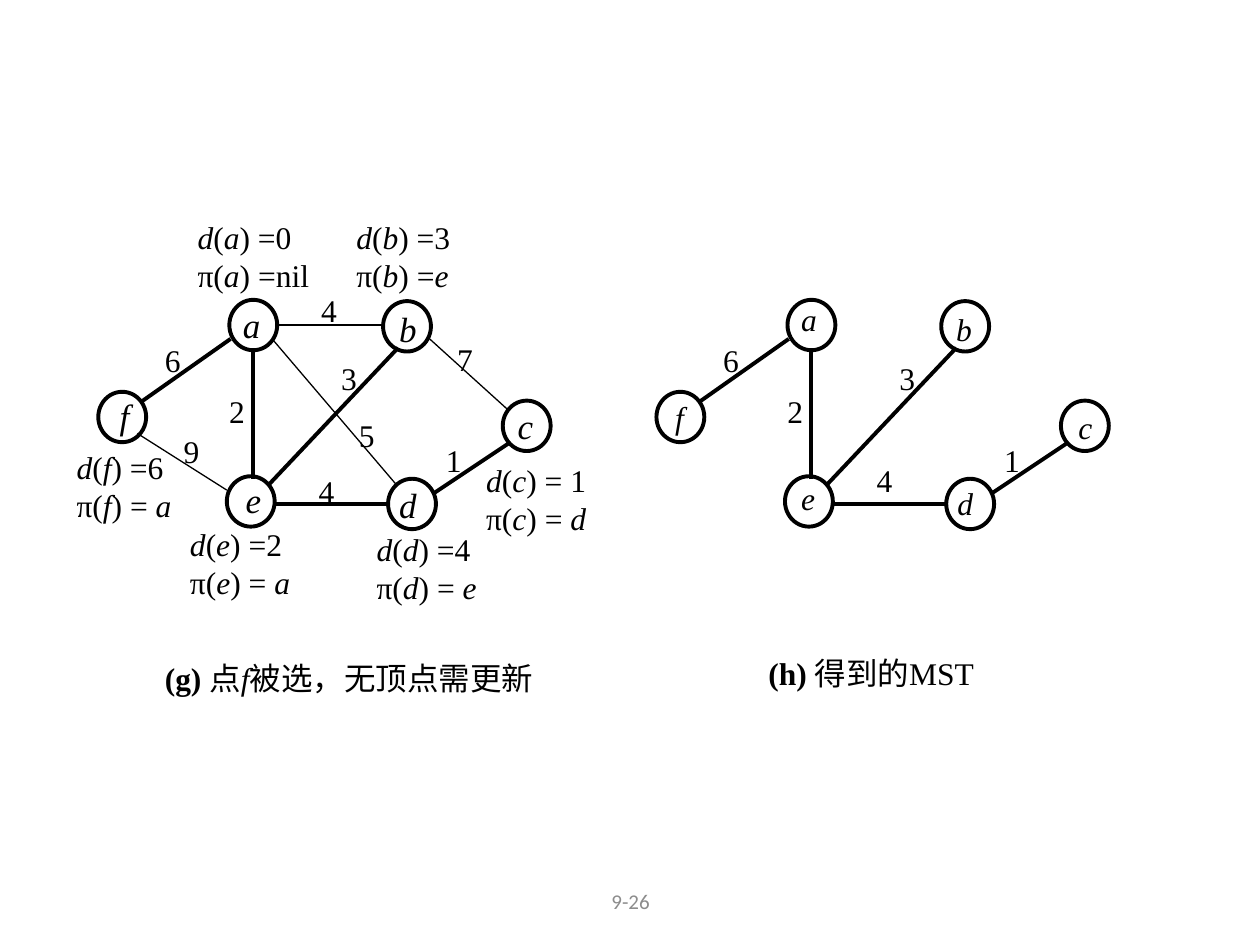
from dataclasses import dataclass

from lxml import etree
from pptx import Presentation
from pptx.dml.color import RGBColor
from pptx.enum import shapes, text
from pptx.oxml import ns
from pptx.util import Emu, Pt

PX = 9144


@dataclass(frozen=True)
class Theme:
    """Colours, fonts and sizes of the slide."""
    ink: RGBColor = RGBColor(0, 0, 0)
    paper: RGBColor = RGBColor(255, 255, 255)
    muted: RGBColor = RGBColor(0x8C, 0x8C, 0x8C)
    serif: str = "Times New Roman"
    sans: str = "Calibri"
    label: int = 18
    footer: int = 12
    thin: float = 0.75
    thick: float = 2.25


THEME = Theme()
NODE_SIZE = (38, 40)
TAG_SIZE = (49, 47)
STATE_SIZE = (113, 75)

NODES = {"a": (131, 70), "b": (253, 71), "c": (348, 150),
         "d": (257, 212), "e": (129, 210), "f": (27, 143)}
EDGES = {"ab": (168, 90, 253, 90), "ed": (167, 232, 257, 232),
         "ae": (150, 111, 150, 212), "bc": (290, 101, 353, 158),
         "be": (265, 108, 162, 217), "ad": (165, 101, 263, 216),
         "cd": (354, 183, 294, 223), "fa": (61, 151, 132, 101),
         "fe": (58, 176, 129, 221)}
WEIGHTS = {"ab": ("4", 194, 58), "ed": ("4", 192, 202), "ae": ("2", 121, 138),
           "bc": ("7", 302, 97), "be": ("3", 210, 112), "ad": ("5", 224, 157),
           "cd": ("1", 293, 177), "fa": ("6", 70, 98), "fe": ("9", 85, 170)}
TREE = ("ed", "ae", "be", "cd", "fa")

SEARCH_LETTERS = {"a": (132, 68), "b": (256, 71), "c": (350, 148),
                  "d": (256, 211), "e": (134, 207), "f": (34, 140)}
TREE_LETTERS = {"a": (132, 65), "b": (255, 73), "c": (352, 151),
                "d": (256, 211), "e": (132, 207), "f": (32, 143)}
STATES = {(96, 0): ("*d*(*a*) =0", "π(*a*) =nil"),
          (222, 0): ("*d*(*b*) =3", "π(*b*) =*e*"),
          (325, 193): ("*d*(*c*) = 1", "π(*c*) = *d*"),
          (238, 248): ("*d*(*d*) =4", "π(*d*) = *e*"),
          (90, 244): ("*d*(*e*) =2", "π(*e*) = *a*"),
          (0, 183): ("*d*(*f*) =6", "π(*f*) = *a*")}


def px(*lengths):
    """Turn px lengths into EMU."""
    return [Emu(length * PX) for length in lengths]


def add_text(page, box, lines, size=THEME.label, face=THEME.serif,
             color=THEME.ink, lead=""):
    """Write lines in a box; asterisks enclose italics and lead is bold."""
    frame = page.shapes.add_textbox(*px(*box)).text_frame
    frame.word_wrap = True
    for number, line in enumerate(lines):
        para = frame.paragraphs[0] if number == 0 else frame.add_paragraph()
        para.font.size = Pt(size)
        para.font.name = face
        para.font.color.rgb = color
        if lead:
            span = para.add_run()
            span.text = lead
            span.font.bold = True
        for index, part in enumerate(line.split("*")):
            if part:
                span = para.add_run()
                span.text = part
                span.font.italic = index % 2 == 1
    return frame


def add_node(page, left, top):
    """Draw one vertex circle."""
    circle = page.shapes.add_shape(shapes.MSO_SHAPE.OVAL,
                                   *px(left, top, *NODE_SIZE))
    circle.shadow.inherit = False
    circle.fill.solid()
    circle.fill.fore_color.rgb = THEME.paper
    circle.line.color.rgb = THEME.ink
    circle.line.width = Pt(THEME.thick)


def add_edge(page, ends, width):
    """Draw one straight edge."""
    edge = page.shapes.add_connector(shapes.MSO_CONNECTOR.STRAIGHT, *px(*ends))
    edge.line.color.rgb = THEME.ink
    edge.line.width = Pt(width)
    etree.SubElement(edge._element.spPr, ns.qn("a:effectLst"))


def add_graph(page, left, top, letters, letter_size, edges, weights):
    """Place vertices, edges and weights relative to the left top corner."""
    for name, (x, y) in NODES.items():
        add_node(page, left + x, top + y)
        x, y = letters[name]
        add_text(page, (left + x, top + y, *TAG_SIZE), [f"*{name}*"], letter_size)
    for name in edges:
        x1, y1, x2, y2 = EDGES[name]
        add_edge(page, (left + x1, top + y1, left + x2, top + y2),
                 THEME.thick if name in TREE else THEME.thin)
        weight, x, y = weights[name]
        add_text(page, (left + x, top + y, *TAG_SIZE), [weight])


def add_search_panel(page, left, top):
    """Show the last search step with the state of each vertex."""
    add_graph(page, left, top, SEARCH_LETTERS, 20, EDGES, WEIGHTS)
    for (x, y), lines in STATES.items():
        add_text(page, (left + x, top + y, *STATE_SIZE), lines)
    add_text(page, (left + 70, top + 350, 326, 54),
             ["点*f*被选，无顶点需更新"], lead="(g) ")


def add_tree_panel(page, left, top):
    """Show the resulting minimum spanning tree."""
    weights = {**WEIGHTS, "ed": ("4", 192, 193)}
    add_graph(page, left, top, TREE_LETTERS, 18, TREE, weights)
    add_text(page, (left + 106, top + 346, 244, 47), ["得到的MST"], lead="(h) ")


def add_footer(page, box):
    """Write the page number in the middle of its box."""
    frame = add_text(page, box, ["9-26"], THEME.footer, THEME.sans, THEME.muted)
    frame.vertical_anchor = text.MSO_ANCHOR.MIDDLE
    frame.paragraphs[0].alignment = text.PP_ALIGN.CENTER


def main():
    """Build and save the deck."""
    deck = Presentation()
    deck.slide_width, deck.slide_height = px(1000, 750)
    page = deck.slides.add_slide(deck.slide_layouts[6])
    add_search_panel(page, 51, 168)
    add_tree_panel(page, 494, 168)
    add_footer(page, (342, 695, 317, 40))
    deck.save("out.pptx")


if __name__ == "__main__":
    main()
